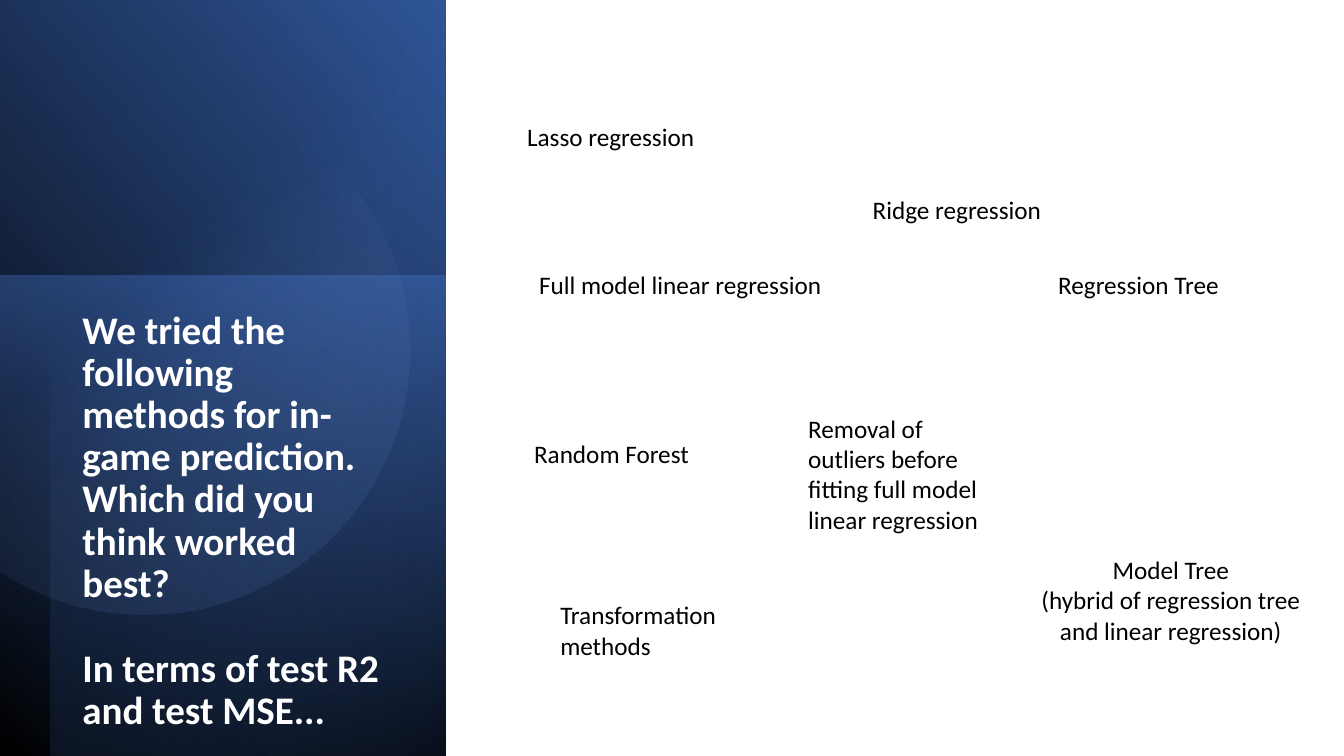
from math import acos, cos, sin

from lxml import etree
from pptx import Presentation
from pptx.dml.color import RGBColor
from pptx.enum.shapes import MSO_SHAPE
from pptx.enum.text import MSO_AUTO_SIZE, PP_ALIGN
from pptx.oxml.ns import qn
from pptx.util import Pt

QUESTION = [
    "We tried the following methods for in-game prediction. Which did you think worked best?",
    "In terms of test R2 and test MSE...",
]
METHODS = [
    ("Full model linear regression", 60, 188.6, 476),
    ("Lasso regression", 51.4, 82.8, 152),
    ("Ridge regression", 298.3, 135.4, 152),
    ("Regression Tree", 430.8, 188.6, 152),
    ("Random Forest", 56.4, 309.6, 152),
    ("Transformation methods", 75.1, 424.8, 147.6),
    ("Removal of outliers before fitting full model linear regression", 252.2, 291.6, 147.6),
]
HYBRID = "Model Tree\n(hybrid of regression tree and linear regression)"


def color(hex_code):
    """Turn a hex string into a colour."""
    return RGBColor.from_string(hex_code)


def paint(shape, angle, stops):
    """Fill a shape with a gradient of (position, colour, opacity) stops."""
    shape.shadow.inherit = False
    shape.line.fill.background()
    shape.fill.gradient()
    shape.fill.gradient_angle = angle
    for stop, (position, hex_code, _) in zip(shape.fill.gradient_stops, stops):
        stop.position = position
        stop.color.rgb = color(hex_code)
    tints = shape._element.spPr.iter(qn("a:srgbClr"))
    for tint, (_, _, opacity) in zip(list(tints), stops):
        etree.SubElement(tint, qn("a:alpha")).set("val", str(opacity * 1000))


def add_turned_layer(slide, box, rotation, flipped, angle, stops):
    """Cover a box with a gradient rectangle lying on its side."""
    left, top, width, height = box
    layer = slide.shapes.add_shape(
        MSO_SHAPE.RECTANGLE,
        Pt(left + (width - height) / 2), Pt(top + (height - width) / 2),
        Pt(height), Pt(width))
    layer.rotation = rotation
    if flipped:
        layer._element.spPr.find(qn("a:xfrm")).set("flipH", "1")
    paint(layer, angle, stops)


def add_disc(slide, left, top):
    """Draw the pale disc, cut off straight at the left edge."""
    center_x, center_y, radius, steps = 103, 249.8, 189.4, 90
    reach = acos(-center_x / radius)
    angles = [reach * (2 * step / steps - 1) for step in range(steps + 1)]
    rim = [(Pt(left + center_x + radius * cos(a)), Pt(top + center_y + radius * sin(a)))
           for a in angles]
    builder = slide.shapes.build_freeform(*rim[0])
    builder.add_line_segments(rim[1:], close=True)
    paint(builder.convert_to_shape(), 308, [(0.39, "8FAADC", 0), (1, "2F5597", 26)])


def add_text(slide, box, text, size, hex_code, align=PP_ALIGN.LEFT, bold=False):
    """Place wrapped text in a box and return its text frame."""
    frame = slide.shapes.add_textbox(*map(Pt, box)).text_frame
    frame.word_wrap = True
    frame.text = text
    for paragraph in frame.paragraphs:
        paragraph.alignment = align
        for run in paragraph.runs:
            run.font.name = "Calibri"
            run.font.size = Pt(size)
            run.font.bold = bold
            run.font.color.rgb = color(hex_code)
    return frame


def add_question_panel(slide, left, top, width, height):
    """Build the blue panel with the question."""
    add_turned_layer(slide, (left, top, width, height), 90, True, 50,
                     [(0, "000000", 100), (1, "2F5597", 100)])
    add_turned_layer(slide, (left, top + 197, width, height - 197), 270, False, 170,
                     [(0, "4472C4", 50), (1, "203864", 0)])
    add_turned_layer(slide, (left + 36, top, width - 36, height), 270, True, 140,
                     [(0, "000000", 59), (0.69, "4472C4", 0)])
    add_disc(slide, left, top)
    question = add_text(slide, (left + 51.8, top + 218.2, 226.8, 242),
                        "\n".join(QUESTION), 27.9, "FFFFFF", bold=True)
    for paragraph in question.paragraphs:
        paragraph.line_spacing = 0.9
    question.paragraphs[1].space_before = Pt(30.5)


def add_methods(slide, left, top):
    """Scatter the method names over the white area."""
    for method, x, y, width in METHODS:
        label = add_text(slide, (left + x, top + y, width, 29), method, 18, "000000")
        label.auto_size = MSO_AUTO_SIZE.SHAPE_TO_FIT_TEXT
    hybrid = add_text(slide, (left + 415.7, top + 392.4, 205.2, 72.7), HYBRID, 18, "000000",
                      PP_ALIGN.CENTER)
    hybrid.auto_size = MSO_AUTO_SIZE.SHAPE_TO_FIT_TEXT


def main():
    """Create and save the slide."""
    deck = Presentation()
    deck.slide_width, deck.slide_height = Pt(960), Pt(540)
    slide = deck.slides.add_slide(deck.slide_layouts[6])
    add_question_panel(slide, 0, 0, 318.2, 540)
    add_methods(slide, 318, 0)
    deck.save("out.pptx")


if __name__ == "__main__":
    main()
